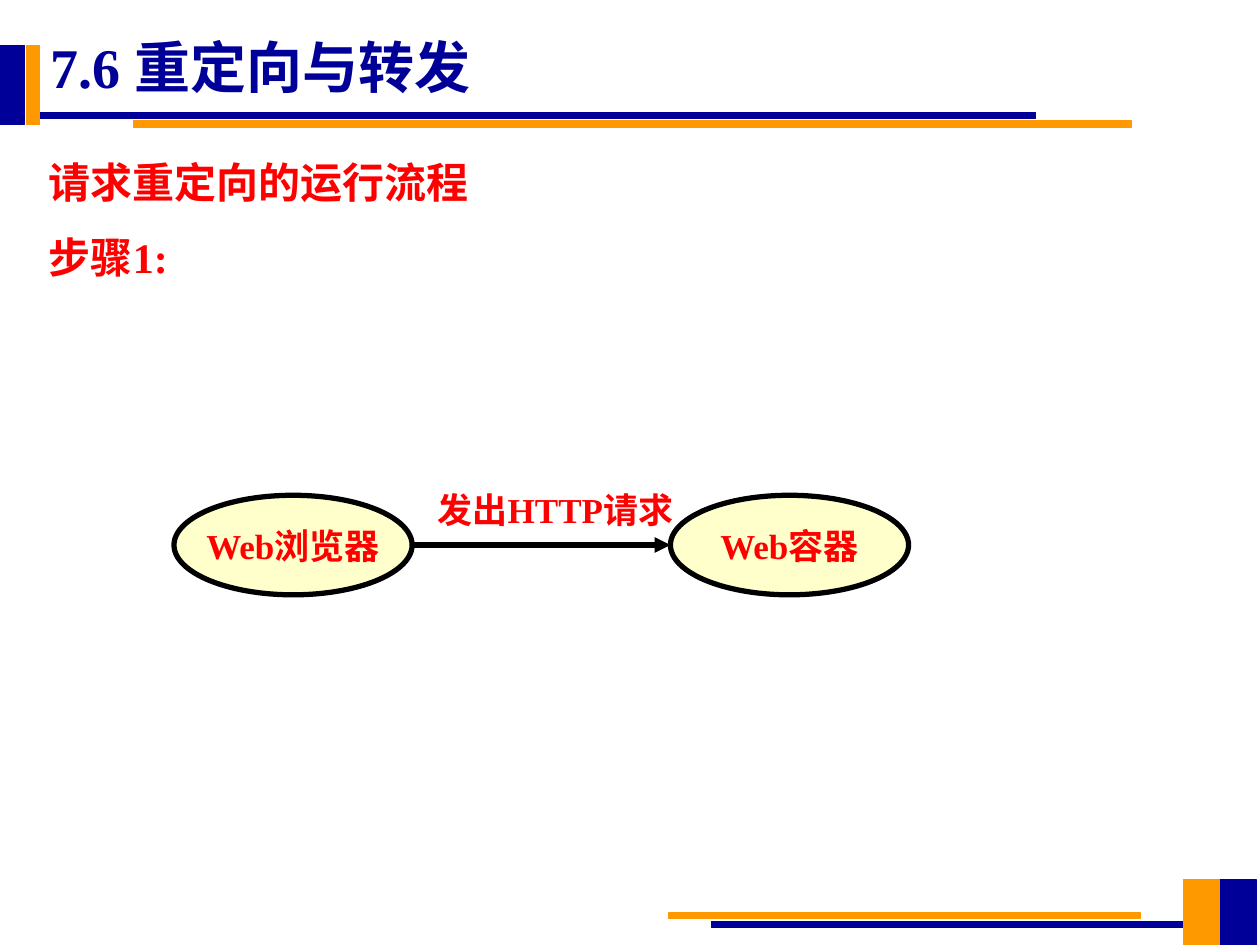
import pptx
import pptx.util
import pptx.dml.color
import pptx.enum.shapes
import pptx.enum.text
import pptx.oxml
import pptx.oxml.ns

Pt = pptx.util.Pt
KIND = pptx.enum.shapes.MSO_SHAPE
ALIGN = pptx.enum.text.PP_ALIGN
ANCHOR = pptx.enum.text.MSO_ANCHOR
NAVY, ORANGE, RED, CREAM, BLACK = "000099", "FF9900", "FF0000", "FFFFCC", "000000"
LATIN, HAN = "Times New Roman", "Noto Sans CJK SC"


def color(code):
    return pptx.dml.color.RGBColor.from_string(code)


def node(tag, **attrs):
    item = pptx.oxml.parse_xml(f"<a:{tag} {pptx.oxml.ns.nsdecls('a')}/>")
    for name, value in attrs.items():
        item.set(name, value)
    return item


def style(para, size, tone, **form):
    """Give the paragraph its format and its runs bold Latin and Han fonts."""
    for name, value in form.items():
        setattr(para, name, value)
    for run in para.runs:
        for name, value in {"size": Pt(size), "bold": True, "name": LATIN}.items():
            setattr(run.font, name, value)
        run.font.color.rgb = color(tone)
        run.font._element.find(pptx.oxml.ns.qn("a:latin")).addnext(
            node("ea", typeface=HAN))


def text(slide, box, lines, size, tone, **form):
    frame = slide.shapes.add_textbox(*map(Pt, box)).text_frame
    frame.word_wrap = True
    frame.text = "\n".join(lines)
    for para in frame.paragraphs:
        style(para, size, tone, **form)


def shape(slide, kind, box, fill, line, width):
    item = slide.shapes.add_shape(kind, *map(Pt, box))
    item.shadow.inherit = False
    item.fill.solid()
    item.fill.fore_color.rgb = color(fill)
    item.line.color.rgb = color(line)
    item.line.width = Pt(width)
    return item


def bars(slide, box, parts):
    """Draw solid bars, each given relative to the box."""
    left, top = box[:2]
    for x, y, wide, high, tone in parts:
        shape(slide, KIND.RECTANGLE, (left + x, top + y, wide, high), tone, tone, 0.75)


def header(slide, box):
    left, top, wide, _ = box
    bars(slide, box, [
        (21.6, 38.2, 570.2, 3.6, NAVY),
        (76.3, 43.2, 570.2, 3.6, ORANGE),
        (0, 0, 14.1, 45.4, NAVY),
        (15.5, 0, 7.2, 45.4, ORANGE),
    ])
    text(slide, (left + 21.6, top - 10.8, wide - 25.2, 50.4),
         ["7.6 重定向与转发"], 32, NAVY)


def footer(slide, box):
    bars(slide, box, [
        (314.6, 0, 20.9, 37.4, NAVY),
        (0, 18.7, 269.3, 3.6, ORANGE),
        (24.5, 23.8, 269.3, 3.6, NAVY),
        (293.8, 0, 20.9, 37.4, ORANGE),
    ])


def oval(slide, box, label):
    frame = shape(slide, KIND.OVAL, box, CREAM, BLACK, 3).text_frame
    frame.word_wrap = False
    frame.vertical_anchor = ANCHOR.MIDDLE
    frame.text = label
    style(frame.paragraphs[0], 20, RED, alignment=ALIGN.CENTER)


def flow(slide, box):
    left, top, wide, high = box
    span = 136.1
    start, end, mid = left + span, left + wide - span, top + high / 2
    oval(slide, (left, top, span, high), "Web浏览器")
    oval(slide, (end, top, span, high), "Web容器")
    arrow = slide.shapes.add_connector(
        pptx.enum.shapes.MSO_CONNECTOR.STRAIGHT, *map(Pt, (start, mid, end, mid)))
    arrow.line.color.rgb = color(BLACK)
    arrow.line.width = Pt(3)
    arrow.line._get_or_add_ln().append(node("tailEnd", type="triangle"))
    arrow._element.spPr.append(node("effectLst"))
    text(slide, (start - 7.9, top - 7.2, 164.2, 31.7),
         ["发出HTTP请求"], 20, RED, alignment=ALIGN.RIGHT)


def main():
    deck = pptx.Presentation()
    deck.slide_width, deck.slide_height = Pt(720), Pt(540)
    slide = deck.slides.add_slide(deck.slide_layouts[6])
    footer(slide, (382.3, 502.6, 335.5, 37.4))
    header(slide, (0, 25.9, 720, 46.8))
    text(slide, (20.9, 71.3, 679, 108), ["请求重定向的运行流程", "步骤1:"],
         24, RED, line_spacing=1.5)
    flow(slide, (99.4, 283, 419.8, 56.9))
    deck.save("out.pptx")


if __name__ == "__main__":
    main()
